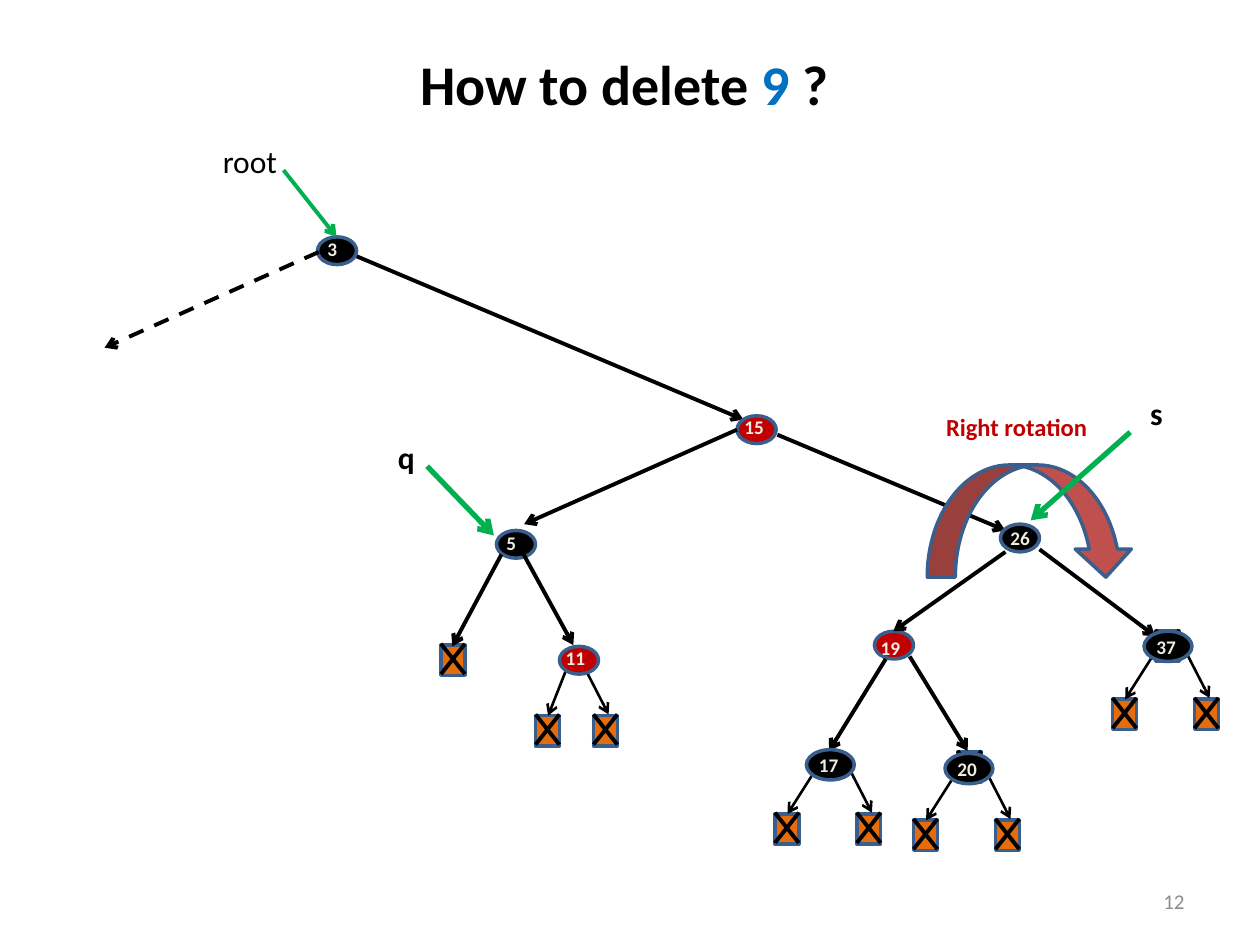
from collections import namedtuple
from dataclasses import dataclass

from lxml import etree
from pptx import Presentation
from pptx import util as u
from pptx.dml.color import RGBColor
from pptx.enum import dml, shapes, text
from pptx.oxml.ns import qn


@dataclass(frozen=True)
class Theme:
    font: str = "Calibri"
    black: str = "000000"
    red: str = "C00000"
    blue: str = "0070C0"
    green: str = "00B050"
    grey: str = "8C8C8C"
    pale: str = "EEECE1"
    leaf: str = "E46C0A"
    arrow: str = "C0504D"
    outline: str = "3A5F8C"
    title: float = 32
    pointer: float = 18
    note: float = 14
    page: float = 12
    key: float = 11
    thin: float = 1.5
    border: float = 2
    edge: float = 2.25
    thick: float = 3


T = Theme()
Box = namedtuple("Box", "x y w h")
COLS, ROWS = 100, 75
W, H = u.Inches(10), u.Inches(7.5)
COL, ROW = W / COLS, H / ROWS


def rgb(value):
    return RGBColor.from_string(value)


def place(box, x, y, w, h):
    return [round(v) for v in ((box.x + x) * COL, (box.y + y) * ROW, w * COL, h * ROW)]


def set_font(font, size, color, bold=False):
    font.name, font.size, font.bold = T.font, u.Pt(size), bold
    font.color.rgb = rgb(color)


def add_shape(s, box, kind, x, y, w, h, color):
    sp = s.shapes.add_shape(kind, *place(box, x, y, w, h))
    sp.shadow.inherit = False
    sp.fill.solid()
    sp.fill.fore_color.rgb = rgb(color)
    sp.line.color.rgb = rgb(T.outline)
    sp.line.width = u.Pt(T.border)


def add_label(s, box, words, x, y, w, h, size, color, bold=True, wrap=False):
    sp = s.shapes.add_textbox(*place(box, x, y, w, h))
    tf = sp.text_frame
    tf.word_wrap = wrap
    tf.auto_size = text.MSO_AUTO_SIZE.SHAPE_TO_FIT_TEXT
    p = tf.paragraphs[0]
    p.text = words
    set_font(p.font, size, color, bold)
    return sp


def add_line(s, box, x1, y1, x2, y2, color=T.black, width=T.edge, head=True, dash=False):
    ends = place(box, x1, y1, 0, 0)[:2] + place(box, x2, y2, 0, 0)[:2]
    cx = s.shapes.add_connector(shapes.MSO_CONNECTOR.STRAIGHT, *ends)
    cx.line.color.rgb = rgb(color)
    cx.line.width = u.Pt(width)
    if dash:
        cx.line.dash_style = dml.MSO_LINE.DASH
    if head:
        etree.SubElement(cx.line._get_or_add_ln(), qn("a:tailEnd"), type="arrow")
    etree.SubElement(cx._element.spPr, qn("a:effectLst"))


def add_node(s, box, key, x, y, color, dx, dy):
    add_shape(s, box, shapes.MSO_SHAPE.OVAL, x, y, 3.1, 2.2, color)
    add_label(s, box, key, x + dx, y + dy, 2 + 0.8 * len(key), 2.9, T.key, T.pale)


def add_leaf(s, box, x, y):
    w, h = 1.9, 2.4
    add_shape(s, box, shapes.MSO_SHAPE.RECTANGLE, x, y, w, h, T.leaf)
    top, bottom = y - 0.1, y + h - 0.1
    add_line(s, box, x + w, top, x, bottom, head=False)
    add_line(s, box, x, top, x + w, bottom, head=False)


def add_leaf_parent(s, box, key, lift=0.0):
    for x in (-2.5, 4):
        add_leaf(s, box, x, 5.4 - lift)
    add_line(s, box, 0.6, 2.1 - lift, -1.5, 5.4 - lift, width=T.thin)
    add_line(s, box, 3.3, 1.6 - lift, 5.2, 5.3 - lift, width=T.thin)
    add_shape(s, box, shapes.MSO_SHAPE.OVAL, 0, 0, box.w, box.h, T.black)
    add_label(s, box, key, 0, -0.2, box.w + 0.5, 2.9, T.key, T.pale, wrap=True)


def add_title(s, box):
    sp = s.shapes.title
    sp.left, sp.top, sp.width, sp.height = place(box, 0, 0, box.w, box.h)
    tf = sp.text_frame
    tf.vertical_anchor = text.MSO_ANCHOR.MIDDLE
    tf.margin_bottom = round(5.8 * ROW)
    p = tf.paragraphs[0]
    p.alignment = text.PP_ALIGN.CENTER
    for words, color in (("How to delete ", T.black), ("9 ", T.blue), ("?", T.black)):
        r = p.add_run()
        r.text = words
        set_font(r.font, T.title, color, True)


def add_trunk(s, box):
    add_line(s, box, 19.5, 10, 51, 23.3)
    add_node(s, box, "3", 17.2, 8.8, T.black, -0.2, -0.5)
    add_node(s, box, "15", 50.5, 23, T.red, -0.4, -0.5)
    add_line(s, box, 50.5, 24.1, 33.6, 31.6)
    add_line(s, box, 53.7, 24.5, 71.8, 32.1)
    add_line(s, box, 17.3, 10, 0.3, 17.6, dash=True)
    add_line(s, box, 14.5, 3.5, 18.7, 8.8, T.green)
    add_label(s, box, "root", 8.7, 0.8, 6.4, 4, T.pointer, T.black, bold=False)


def add_left_subtree(s, box):
    for x, y in ((5, 17.2), (12.5, 22.8), (17.1, 22.8)):
        add_leaf(s, box, x, y)
    add_line(s, box, 15, 19, 13.5, 22.8, width=T.thin)
    add_line(s, box, 16.4, 19, 18.3, 22.7, width=T.thin)
    add_node(s, box, "5", 9.4, 8.1, T.black, -0.2, -0.4)
    add_node(s, box, "11", 14.4, 17.3, T.red, -0.5, -0.5)
    add_line(s, box, 9.8, 10, 5.9, 17.3)
    add_line(s, box, 11.5, 9.9, 15.5, 17.2)
    add_line(s, box, 3.9, 3, 9.2, 8.5, T.green, T.thick)
    add_label(s, box, "q", 0.6, 0.3, 3.4, 4, T.pointer, T.black)


def add_right_subtree(s, box):
    for x, y in ((16, 29.7), (31.7, 20.1)):
        add_leaf(s, box, x, y)
    add_node(s, box, "26", 19.4, 11.6, T.black, -0.2, -0.3)
    add_node(s, box, "19", 9.4, 20.1, T.red, -0.5, -0.1)
    for ends in ((19.8, 13.8, 10.9, 20.1), (22.5, 13.6, 31.7, 20.5),
                 (10.3, 22.3, 5.8, 29.6), (12.2, 22.1, 16.8, 29.6)):
        add_line(s, box, *ends)
    for key, x, y, lift in (("37", 30.8, 20.1, 0), ("20", 15, 29.8, 0.1), ("17", 4, 29.5, 0.3)):
        add_leaf_parent(s, Box(box.x + x, box.y + y, 3.8, 2.4), key, lift)


def add_rotation(s, box):
    add_shape(s, box, shapes.MSO_SHAPE.CURVED_DOWN_ARROW, 0.6, 6.9, 16.4, 8.9, T.arrow)
    add_label(s, box, "Right rotation", 1.1, 2.2, 13.8, 3.4, T.note, T.red)
    add_line(s, box, 16.7, 4.3, 8.8, 11.3, T.green, T.thick)
    add_label(s, box, "s", 17.3, 0.8, 3, 4, T.pointer, T.black)


def add_page_number(s, box):
    sp = add_label(s, box, "12", 0, 0, box.w, box.h, T.page, T.grey, bold=False, wrap=True)
    tf = sp.text_frame
    tf.auto_size = text.MSO_AUTO_SIZE.NONE
    tf.vertical_anchor = text.MSO_ANCHOR.MIDDLE
    tf.paragraphs[0].alignment = text.PP_ALIGN.RIGHT


def main():
    prs = Presentation()
    prs.slide_width, prs.slide_height = W, H
    s = prs.slides.add_slide(prs.slide_layouts[5])
    add_title(s, Box(0.8, 3, 97.5, 12.5))
    add_trunk(s, Box(8, 10, 75, 33))
    add_left_subtree(s, Box(30, 34, 20, 26))
    add_right_subtree(s, Box(60, 30, 37, 38))
    add_rotation(s, Box(73, 30, 21, 16))
    add_page_number(s, Box(71.7, 69.5, 23.3, 4))
    prs.save("out.pptx")


if __name__ == "__main__":
    main()
